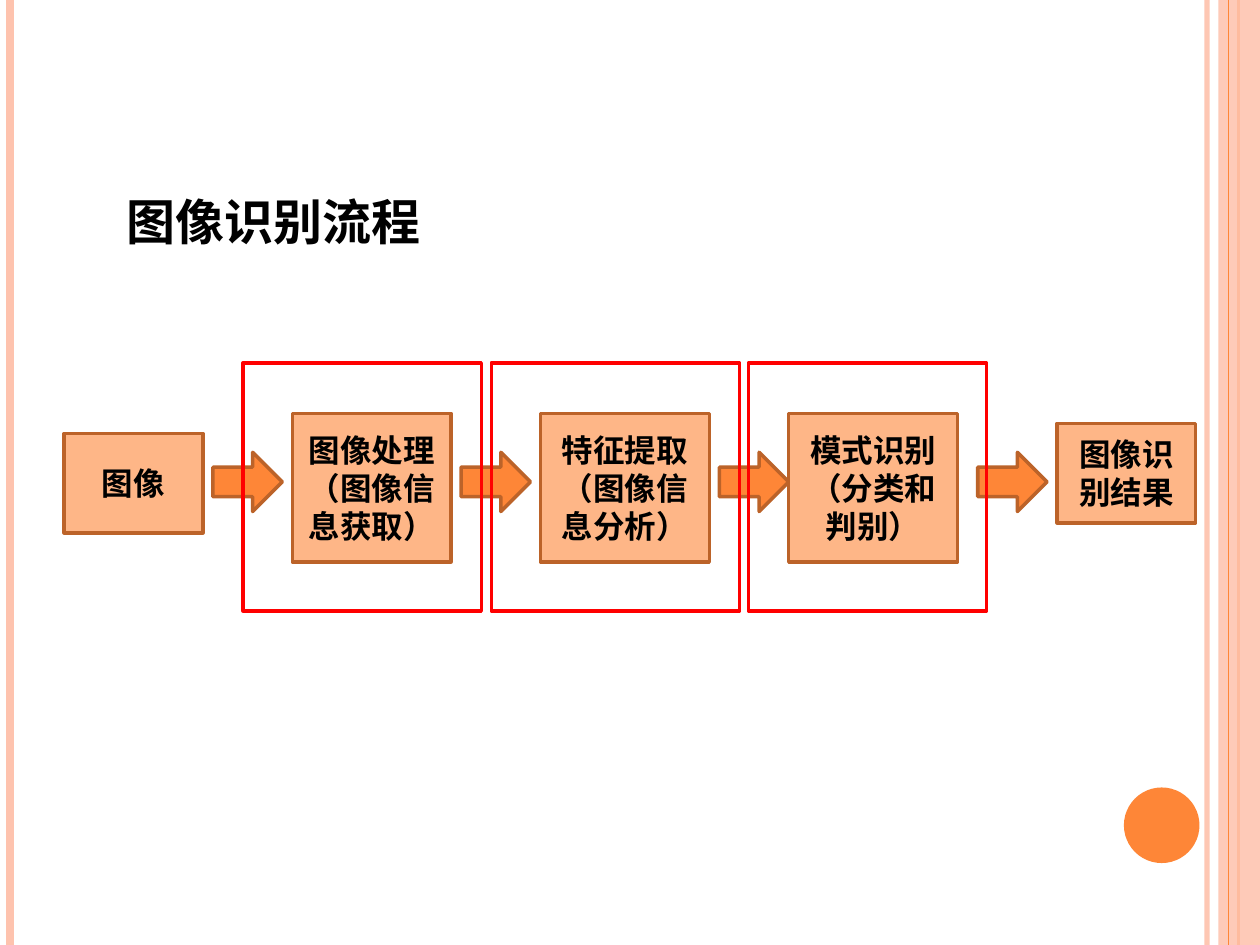
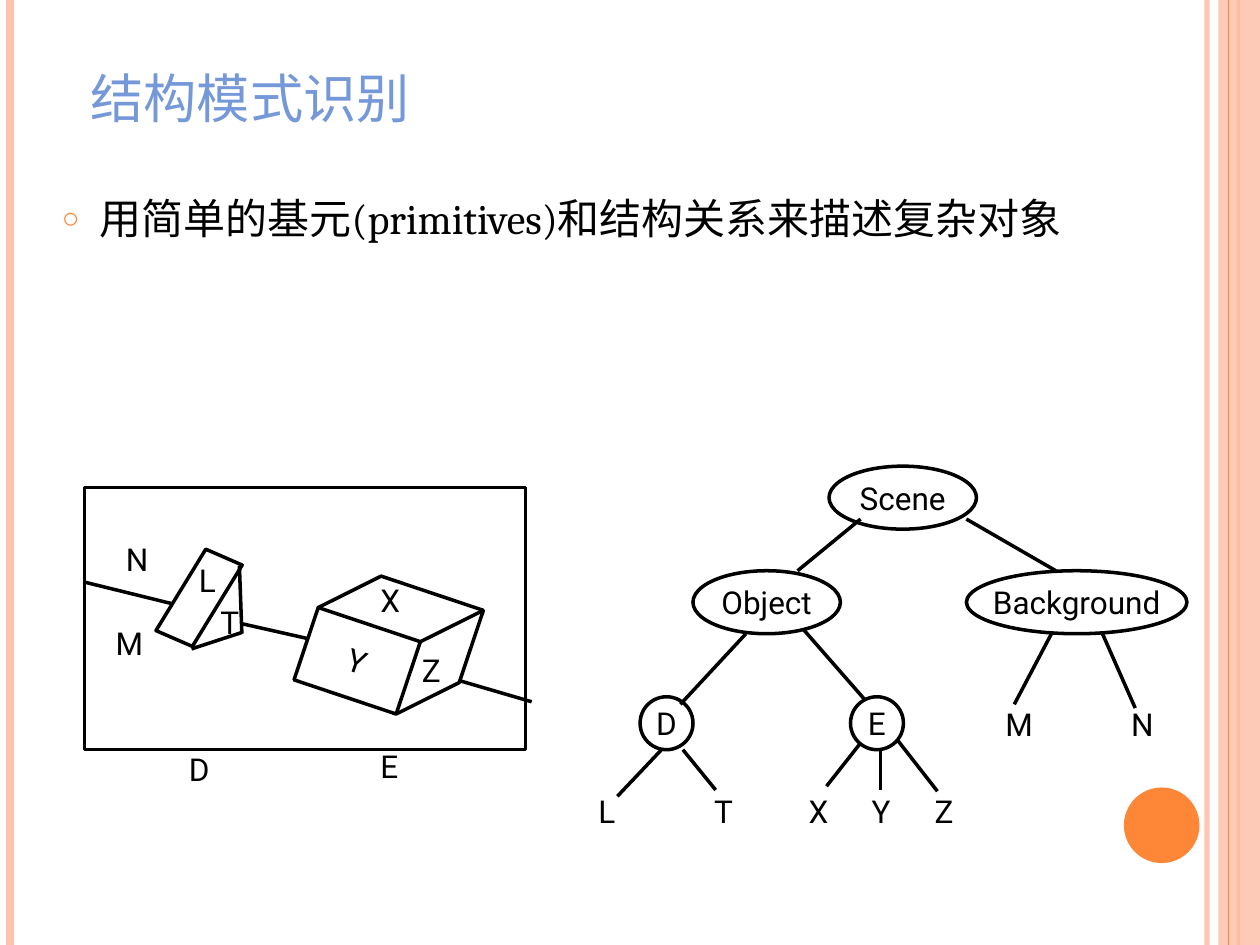
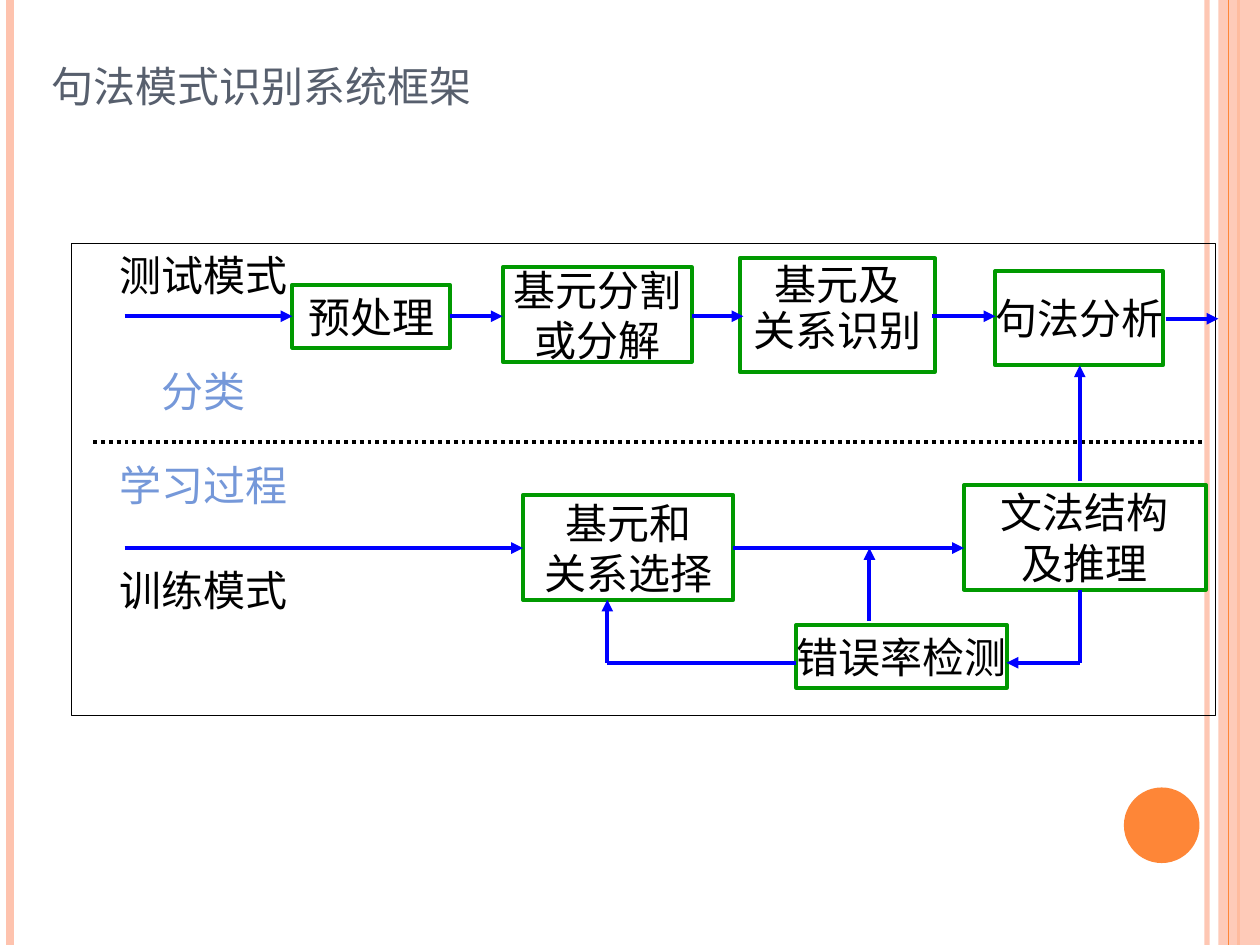
from lxml import etree
from pptx import Presentation
from pptx import util as u
from pptx.dml.color import RGBColor
from pptx.enum import dml, shapes, text
from pptx.oxml.ns import qn

C = {"orange": "FE8637", "peach": "FEC3AE", "box": "FEB687", "edge": "BC6329",
     "red": "FF0000", "black": "000000", "blue": "7598D9", "slate": "575F6D",
     "green": "009900", "arrow": "0000FF"}
K = shapes.MSO_SHAPE
LEFT, CENTER = text.PP_ALIGN.LEFT, text.PP_ALIGN.CENTER
FLOW = {"name": "Cambria", "size": u.Pt(18), "bold": True}
HEAD = {"name": "Cambria", "size": u.Pt(28), "bold": True}
LABEL = {"name": "Roboto", "size": u.Pt(18)}
STEP = {"name": "Cambria", "size": u.Pt(24)}


def add(s, kind, box, words="", font=LABEL, color="black", fill=None, line=None,
        width=2, wrap=False, align=CENTER):
    """Add a shape, or a text box that fits its text when kind is None."""
    box = [u.Inches(v) for v in box]
    if kind is None:
        sp = s.shapes.add_textbox(*box)
    else:
        sp = s.shapes.add_shape(kind, *box)
        sp.shadow.inherit = False
        if fill:
            sp.fill.solid()
            sp.fill.fore_color.rgb = RGBColor.from_string(C[fill])
        else:
            sp.fill.background()
        if line:
            sp.line.color.rgb = RGBColor.from_string(C[line])
            sp.line.width = u.Pt(width)
        else:
            sp.line.fill.background()
    if words:
        tf = sp.text_frame
        tf.word_wrap = wrap
        if kind is None:
            tf.auto_size = text.MSO_AUTO_SIZE.SHAPE_TO_FIT_TEXT
        else:
            tf.vertical_anchor = text.MSO_ANCHOR.MIDDLE
        tf.text = words
        for p in tf.paragraphs:
            p.alignment = align
            for k, v in font.items():
                setattr(p.runs[0].font, k, v)
            p.runs[0].font.color.rgb = RGBColor.from_string(C[color])
    return sp


def connect(s, ends, color="black", width=2, arrow=False, dash=None):
    """Add a straight line from (x1, y1) to (x2, y2)."""
    cx = s.shapes.add_connector(shapes.MSO_CONNECTOR.STRAIGHT, *[u.Inches(v) for v in ends])
    cx.line.color.rgb = RGBColor.from_string(C[color])
    cx.line.width = u.Pt(width)
    if dash:
        cx.line.dash_style = dash
    if arrow:
        etree.SubElement(cx.line._get_or_add_ln(), qn("a:tailEnd"), type="triangle")
    etree.SubElement(cx._element.spPr, qn("a:effectLst"))
    return cx


prs = Presentation()
prs.slide_width, prs.slide_height = u.Inches(10), u.Inches(7.5)
s1, s2, s3 = [prs.slides.add_slide(prs.slide_layouts[i]) for i in (6, 1, 5)]

# Side bands and disc, moved to the slide master
bands = [
    connect(s1, (9.58, 0, 9.58, 7.5), "peach", 3),
    connect(s1, (0.08, 0, 0.08, 7.5), "peach", 4.5),
    connect(s1, (9.83, 0, 9.83, 7.5), "orange", 1.5),
    add(s1, K.RECTANGLE, (9.67, 0, 0.33, 7.5), fill="peach"),
    connect(s1, (9.75, 0, 9.75, 7.5), "orange", 0.75),
    add(s1, K.OVAL, (8.92, 6.25, 0.6, 0.6), fill="orange"),
]
for sp, alpha in ((bands[0], 93), (bands[3], 87)):
    clr = sp._element.spPr.find(".//" + qn("a:srgbClr"))
    etree.SubElement(clr, qn("a:alpha"), val=str(alpha * 1000))
for sp in bands:
    prs.slide_master.shapes._spTree.append(sp._element)

# Titles
for s, words, x, y, size, color in (
        (s2, "结构模式识别", 0.62, 0.31, 38, "blue"),
        (s3, "句法模式识别系统框架", 0.31, 0.16, 30, "slate")):
    sp = s.shapes.title
    sp.left, sp.top, sp.width, sp.height = [u.Inches(v) for v in (x, y, 8.5, 0.79)]
    tf = sp.text_frame
    tf.text = words
    tf.vertical_anchor = text.MSO_ANCHOR.BOTTOM
    p = tf.paragraphs[0]
    p.alignment = LEFT
    r = p.runs[0]
    r.font.name, r.font.size = "Cambria", u.Pt(size)
    r.font.color.rgb = RGBColor.from_string(C[color])
    r.font._element.set("cap", "small")

# Slide 1: recognition flow
for words, *box in (
        ("图像", 0.51, 3.44, 1.1, 0.79),
        ("图像处理\n（图像信息获取）", 2.32, 3.28, 1.26, 1.18),
        ("特征提取（图像信息分析）", 4.29, 3.28, 1.34, 1.18),
        ("模式识别（分类和判别）", 6.26, 3.28, 1.34, 1.18),
        ("图像识别结果", 8.39, 3.36, 1.1, 0.79)):
    add(s1, K.RECTANGLE, box, words, FLOW, fill="box", line="edge", wrap=True)
for x in (1.69, 3.66, 5.71, 7.76):
    add(s1, K.RIGHT_ARROW, (x, 3.59, 0.55, 0.47), fill="orange", line="edge")
add(s1, None, (0.91, 1.47, 2.56, 0.57), "图像识别流程", HEAD, align=LEFT)
for x, w in ((1.93, 1.89), (3.9, 1.97), (5.94, 1.89)):
    add(s1, K.RECTANGLE, (x, 2.88, w, 1.97), line="red")

# Slide 2: bullet
sp = s2.placeholders[1]
sp.left, sp.top, sp.width, sp.height = [u.Inches(v) for v in (0.39, 1.48, 8.5, 4.42)]
sp.text_frame.text = "用简单的基元(primitives)和结构关系来描述复杂对象"
p = sp.text_frame.paragraphs[0]
pPr = p._p.get_or_add_pPr()
pPr.set("marL", str(u.Inches(0.3)))
pPr.set("indent", str(-u.Inches(0.3)))
etree.SubElement(etree.SubElement(pPr, qn("a:buClr")), qn("a:srgbClr"), val=C["orange"])
etree.SubElement(pPr, qn("a:buSzPct"), val="70000")
etree.SubElement(pPr, qn("a:buChar"), char="○")
p.space_before = u.Pt(0)
for k, v in STEP.items():
    setattr(p.runs[0].font, k, v)
p.runs[0].font.color.rgb = RGBColor.from_string(C["black"])

# Slide 2: scene with wedge and cube
add(s2, K.RECTANGLE, (0.67, 3.87, 3.5, 2.08), line="black")
for kind, box, turn, adj, words in (
        (K.PARALLELOGRAM, (1.37, 4.37, 0.42, 0.75), 23.5, 0.25, ""),
        (K.CUBE, (2.46, 4.62, 1.25, 1), 18.5, 0.395, "Y")):
    sp = add(s2, kind, box, words, line="black")
    sp.rotation = turn
    sp.adjustments[0] = adj
for ends in ((1.9, 4.49, 1.92, 5.03), (1.52, 5.15, 1.92, 5.02), (0.67, 4.62, 1.36, 4.79),
             (3.64, 5.4, 4.22, 5.57), (1.92, 4.95, 2.45, 5.07)):
    connect(s2, ends)

# Slide 2: scene tree
for words, *box in (
        ("Scene", 6.58, 3.7, 1.17, 0.5), ("Object", 5.5, 4.53, 1.17, 0.5),
        ("Background", 7.67, 4.53, 1.75, 0.5),
        ("D", 5.08, 5.53, 0.42, 0.42), ("E", 6.75, 5.53, 0.42, 0.42)):
    add(s2, K.OVAL, box, words, line="black")
for ends in (
        (6.83, 4.12, 6.33, 4.53), (7.67, 4.12, 8.38, 4.53), (5.92, 5.03, 5.4, 5.59),
        (6.38, 5, 6.87, 5.56), (8.35, 5.02, 8.05, 5.59), (8.75, 5.03, 9.01, 5.62),
        (5.25, 5.95, 4.9, 6.32), (5.42, 5.95, 5.68, 6.27), (6.82, 5.91, 6.56, 6.24),
        (6.99, 5.96, 6.99, 6.27), (7.12, 5.87, 7.44, 6.28)):
    connect(s2, ends)

# Slide 2: letters of the scene, then of the tree
WIDTHS = {"M": 0.39, "N": 0.37, "D": 0.37, "L": 0.33, "Z": 0.34, "E": 0.34}
for letter, x, y in (
        ("N", 0.9, 4.24), ("M", 0.82, 4.9), ("L", 1.48, 4.4), ("T", 1.65, 4.74),
        ("X", 2.92, 4.56), ("Z", 3.25, 5.12), ("D", 1.4, 5.9), ("E", 2.92, 5.88),
        ("L", 4.65, 6.24), ("T", 5.57, 6.24), ("X", 6.32, 6.24), ("Y", 6.82, 6.24),
        ("Z", 7.32, 6.24), ("M", 7.88, 5.55), ("N", 8.88, 5.55)):
    add(s2, None, (x, y, WIDTHS.get(letter, 0.35), 0.4), letter, align=LEFT)

# Slide 3: frame and divider
add(s3, K.RECTANGLE, (0.57, 1.93, 9.08, 3.75), line="black", width=0.75)
connect(s3, (0.74, 3.51, 9.57, 3.51), width=2.25, dash=dml.MSO_LINE.ROUND_DOT)

# Slide 3: steps
for words, *box in (
        ("预处理", 2.32, 2.26, 1.25, 0.5), ("基元分割\n或分解", 3.99, 2.12, 1.5, 0.75),
        ("句法分析", 7.9, 2.15, 1.33, 0.75), ("基元和\n关系选择", 4.15, 3.93, 1.67, 0.83),
        ("文法结构\n及推理", 7.65, 3.85, 1.92, 0.83), ("错误率检测", 6.32, 4.96, 1.67, 0.5)):
    add(s3, K.FLOWCHART_PROCESS, box, words, STEP, line="green", width=2.25)
sp = add(s3, K.FLOWCHART_PROCESS, (5.87, 2.05, 1.55, 0.9), "基元及\n关系识别", STEP,
         line="green", width=2.25, wrap=True)
tf = sp.text_frame
tf.vertical_anchor = text.MSO_ANCHOR.TOP
tf.margin_left = tf.margin_right = 0
for p in tf.paragraphs:
    p.line_spacing = 0.9

# Slide 3: row labels
for words, y, color in (("测试模式", 1.93, "black"), ("分类", 2.85, "blue"),
                        ("学习过程", 3.6, "blue"), ("训练模式", 4.43, "black")):
    add(s3, K.FLOWCHART_PROCESS, (0.99, y, 1.25, 0.5), words, STEP, color)

# Slide 3: arrows, then the plain ends of the feedback loop
for ends in (
        (0.99, 2.51, 2.32, 2.51), (3.57, 2.51, 3.99, 2.51), (5.49, 2.51, 5.9, 2.51),
        (7.4, 2.51, 7.9, 2.51), (9.25, 2.53, 9.67, 2.53), (0.99, 4.35, 4.15, 4.35),
        (5.82, 4.35, 7.65, 4.35), (8.57, 3.82, 8.57, 2.9), (4.82, 5.26, 4.82, 4.76),
        (8.57, 5.26, 7.99, 5.26), (6.9, 4.93, 6.9, 4.35)):
    connect(s3, ends, "arrow", 2.25, arrow=True)
for ends in ((4.82, 5.26, 6.32, 5.26), (8.57, 4.68, 8.57, 5.26)):
    connect(s3, ends, "arrow", 2.25)

prs.save("out.pptx")
